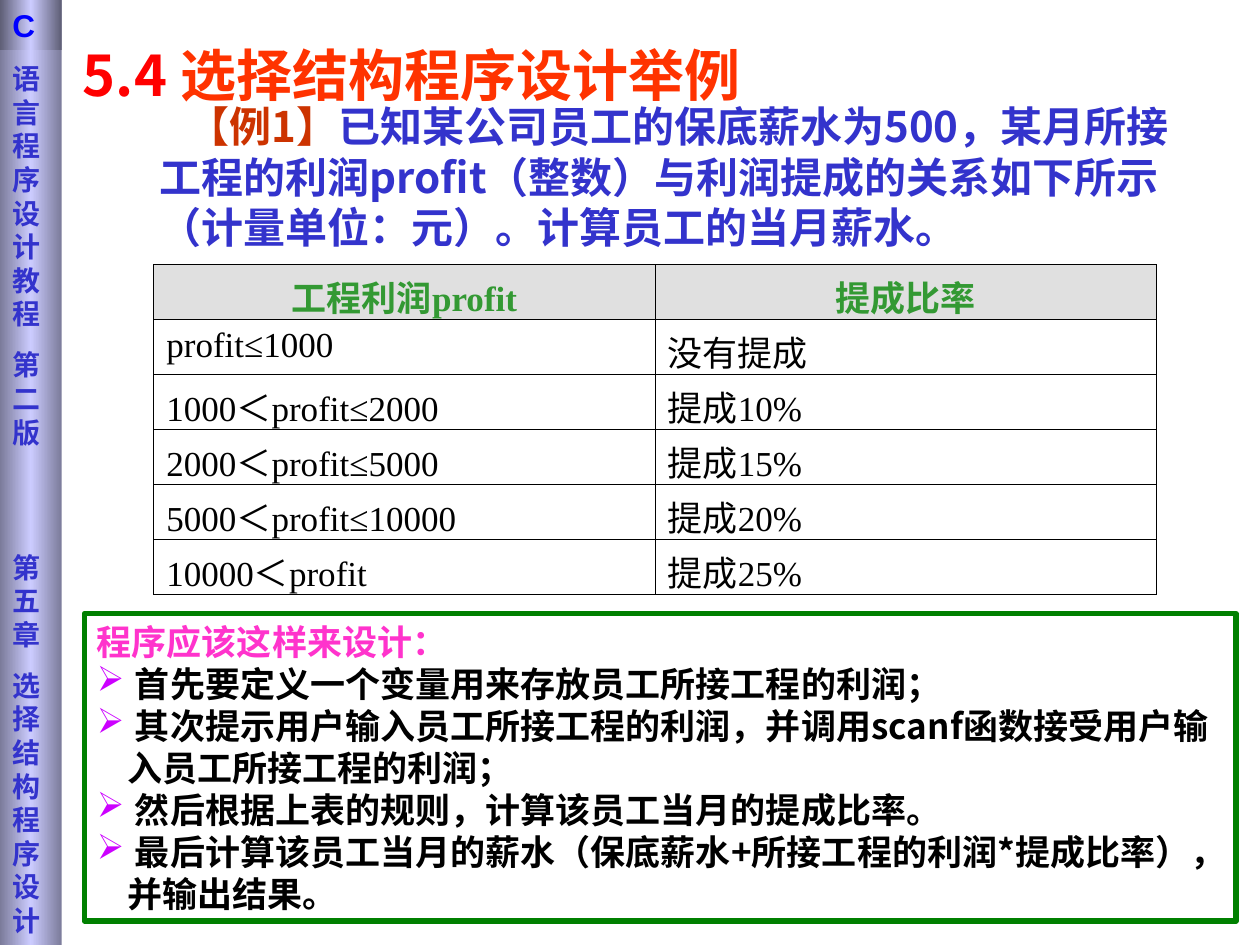
"""Build the salary example slide of a C language course."""
from copy import deepcopy
from dataclasses import dataclass

from pptx import Presentation
from pptx.dml.color import RGBColor
from pptx.enum.shapes import MSO_SHAPE as Shape
from pptx.enum.text import MSO_ANCHOR as Anchor, PP_ALIGN as Align
from pptx.oxml import parse_xml
from pptx.oxml.ns import nsdecls, qn
from pptx.util import Inches, Pt


@dataclass(frozen=True)
class Theme:
    """Colours, fonts and type sizes of the slide."""
    red: str = "FF0000"
    orange: str = "FF3300"
    rust: str = "CC3300"
    indigo: str = "3333CC"
    blue: str = "0000FF"
    green: str = "339933"
    frame: str = "008000"
    pink: str = "FF33CC"
    violet: str = "CC00FF"
    black: str = "000000"
    header: str = "E0E0E0"
    light: str = "CCCCFF"
    shade: str = "7B7B9A"
    dark: str = "5E5E75"
    sans: str = "Noto Sans CJK SC"
    serif: str = "Times New Roman"
    side: str = "DejaVu Sans"
    badge: str = "Arial"
    title: int = 32
    lead: int = 24
    body: int = 20
    label: int = 18
    small: int = 16


class Slide:
    """Draws styled elements on one slide with a grid of 100 columns and 75 rows."""

    def __init__(self, presentation, theme):
        self.theme = theme
        self.column = presentation.slide_width / 100
        self.row = presentation.slide_height / 75
        self.shapes = presentation.slides.add_slide(presentation.slide_layouts[6]).shapes

    def area(self, left, top, width, height):
        """Turn grid units into lengths."""
        return [int(left * self.column), int(top * self.row),
                int(width * self.column), int(height * self.row)]

    def run(self, paragraph, text, size, color, font, bold=True):
        """Add one formatted run."""
        run = paragraph.add_run()
        run.text = text
        for name, value in {"size": Pt(size), "name": font, "bold": bold}.items():
            setattr(run.font, name, value)
        run.font.color.rgb = RGBColor.from_string(color)
        if font == self.theme.sans:
            run.font._element.append(
                parse_xml(f'<a:ea {nsdecls("a")} typeface="{font}"/>'))

    def set_text(self, frame, paragraphs, anchor=Anchor.TOP, top=0.05):
        """Fill a text frame with (runs, format) pairs."""
        settings = {"word_wrap": True, "vertical_anchor": anchor, "margin_top": Inches(top)}
        for name, value in settings.items():
            setattr(frame, name, value)
        for index, (runs, style) in enumerate(paragraphs):
            paragraph = frame.add_paragraph() if index else frame.paragraphs[0]
            paragraph.alignment = style.get("align", Align.LEFT)
            paragraph.space_before = Pt(style.get("before", 0))
            properties = paragraph._p.get_or_add_pPr()
            margin, indent = style.get("indent", (0, 0))
            properties.set("marL", str(Inches(margin)))
            properties.set("indent", str(Inches(indent)))
            if "bullet" in style:
                color = f'<a:srgbClr val="{self.theme.violet}"/>'
                for xml in (f'<a:buClr {nsdecls("a")}>{color}</a:buClr>',
                            f'<a:buChar {nsdecls("a")} char="{style["bullet"]}"/>'):
                    properties.append(parse_xml(xml))
            for run in runs:
                self.run(paragraph, *run)

    def text(self, area, paragraphs, **options):
        """Add a text box."""
        self.set_text(self.shapes.add_textbox(*self.area(*area)).text_frame, paragraphs, **options)

    def rectangle(self, area, paragraphs, line=None, gradient=None, **options):
        """Add a rectangle with an outline or a gradient from edge to middle."""
        shape = self.shapes.add_shape(Shape.RECTANGLE, *self.area(*area))
        shape.shadow.inherit = False
        if gradient:
            self.shade(shape.fill, gradient)
        else:
            shape.fill.background()
        if line:
            shape.line.color.rgb = RGBColor.from_string(line)
            shape.line.width = Pt(3)
        else:
            shape.line.fill.background()
        self.set_text(shape.text_frame, paragraphs, **options)

    def shade(self, fill, colors):
        """Set a symmetric three-stop horizontal gradient."""
        fill.gradient()
        fill.gradient_angle = 0
        first = fill.gradient_stops[0]._gs
        first.addnext(deepcopy(first))
        edge, middle = colors
        for stop, color, position in zip(fill.gradient_stops, (edge, middle, edge), (0, 0.5, 1)):
            stop.color.rgb = RGBColor.from_string(color)
            stop.position = position

    def border(self, cell):
        """Draw thin lines on all sides of a table cell."""
        properties = cell._tc.get_or_add_tcPr()
        for position, side in enumerate(("lnL", "lnR", "lnT", "lnB")):
            properties.insert(position, parse_xml(
                f'<a:{side} {nsdecls("a")} w="{Pt(0.45)}"><a:solidFill>'
                f'<a:srgbClr val="{self.theme.black}"/></a:solidFill></a:{side}>'))

    def table(self, area, rows):
        """Add a bordered table with a shaded header row."""
        theme = self.theme
        table = self.shapes.add_table(len(rows), len(rows[0]), *self.area(*area)).table
        table._tbl.tblPr.find(qn("a:tableStyleId")).text = "{2D5ABB26-0587-4C30-8999-92F81FD0307C}"
        table.horz_banding = False
        for row_index, row in enumerate(rows):
            header = row_index == 0
            color = theme.green if header else theme.black
            style = {"align": Align.CENTER if header else Align.LEFT}
            for column_index, text in enumerate(row):
                cell = table.cell(row_index, column_index)
                if header:
                    cell.fill.solid()
                    cell.fill.fore_color.rgb = RGBColor.from_string(theme.header)
                else:
                    cell.fill.background()
                self.border(cell)
                run = (text, theme.body, color, theme.serif, header)
                self.set_text(cell.text_frame, [([run], style)])


def main():
    """Assemble and save the slide."""
    presentation = Presentation()
    presentation.slide_width, presentation.slide_height = Inches(10), Inches(7.5)
    theme = Theme()
    slide = Slide(presentation, theme)

    slide.text((5.6, 2.7, 90.9, 7.1), [([
        ("5.4 ", theme.title, theme.red, theme.sans),
        ("选择结构程序设计举例", theme.title, theme.orange, theme.serif),
    ], {"align": Align.JUSTIFY, "before": 8, "indent": (0.38, -0.38)})])

    slide.text((6.7, 7.5, 89.8, 13), [([
        ("【例1】", theme.lead, theme.rust, theme.sans),
        ("已知某公司员工的保底薪水为500，某月所接工程的利润profit（整数）与利润提成的"
         "关系如下所示（计量单位：元）。计算员工的当月薪水。",
         theme.lead, theme.indigo, theme.sans),
    ], {"indent": (0.5, 0.22)})], anchor=Anchor.MIDDLE)

    slide.table((12.2, 21, 79.6, 26.2), [
        ("工程利润profit", "提成比率"),
        ("profit≤1000", "没有提成"),
        ("1000＜profit≤2000", "提成10%"),
        ("2000＜profit≤5000", "提成15%"),
        ("5000＜profit≤10000", "提成20%"),
        ("10000＜profit", "提成25%"),
    ])

    steps = ("首先要定义一个变量用来存放员工所接工程的利润；",
             "其次提示用户输入员工所接工程的利润，并调用scanf函数接受用户输入员工所接工程的利润；",
             "然后根据上表的规则，计算该员工当月的提成比率。",
             "最后计算该员工当月的薪水（保底薪水+所接工程的利润*提成比率），并输出结果。")
    heading = ([("程序应该这样来设计：", theme.body, theme.pink, theme.sans)], {})
    bullet = {"bullet": "➢", "indent": (0.24, -0.24)}
    slide.rectangle((6.7, 48.7, 91.4, 24.4), [heading] + [
        ([(f" {step}", theme.body, theme.black, theme.sans)], bullet) for step in steps
    ], line=theme.frame, anchor=Anchor.MIDDLE)

    labels = {"语言程序设计教程": 0, "第二版": 10, "第五章": 58, "选择结构程序设计": 10}
    slide.rectangle((0, 0, 4.9, 75), [
        ([(label, theme.small, theme.indigo, theme.side)], {"before": before})
        for label, before in labels.items()
    ], gradient=(theme.shade, theme.light), top=0.49)
    slide.rectangle((0, 0, 4.9, 4), [([("C", theme.label, theme.blue, theme.badge)], {})],
                    gradient=(theme.dark, theme.light))
    presentation.save("out.pptx")


if __name__ == "__main__":
    main()
